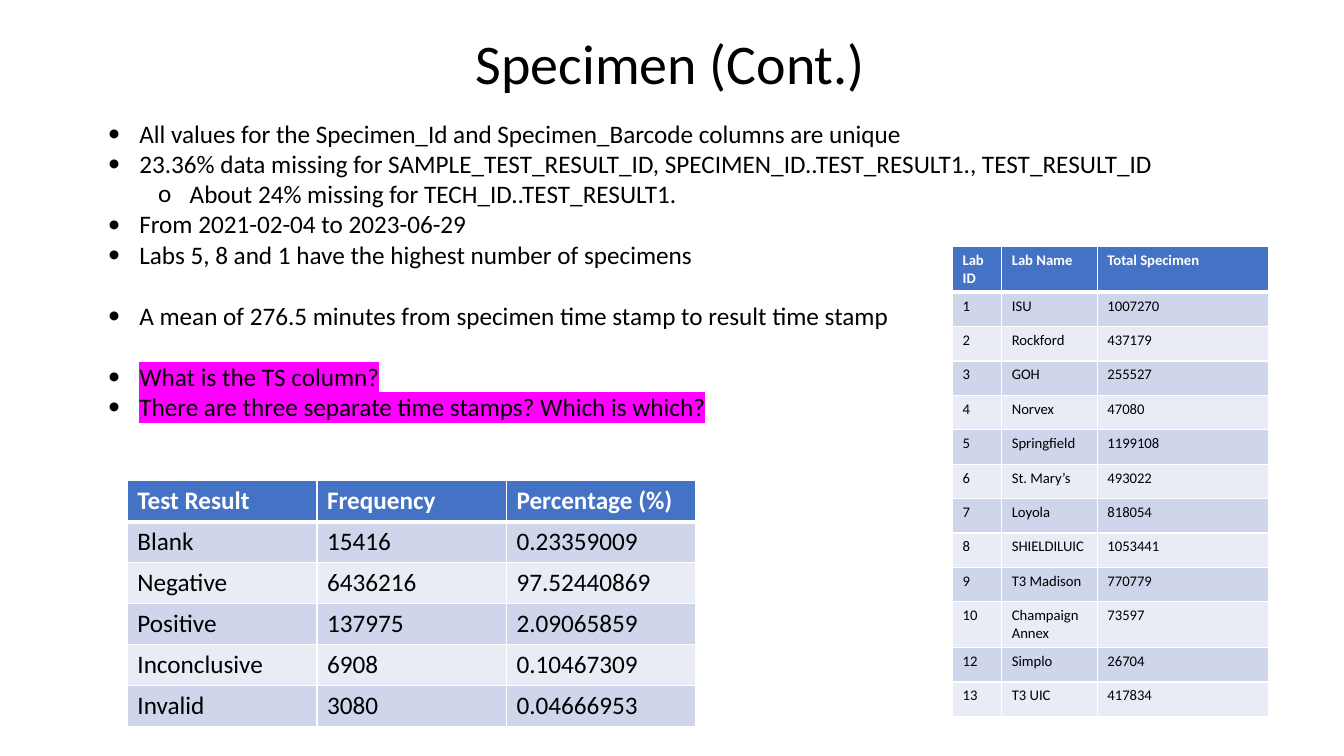
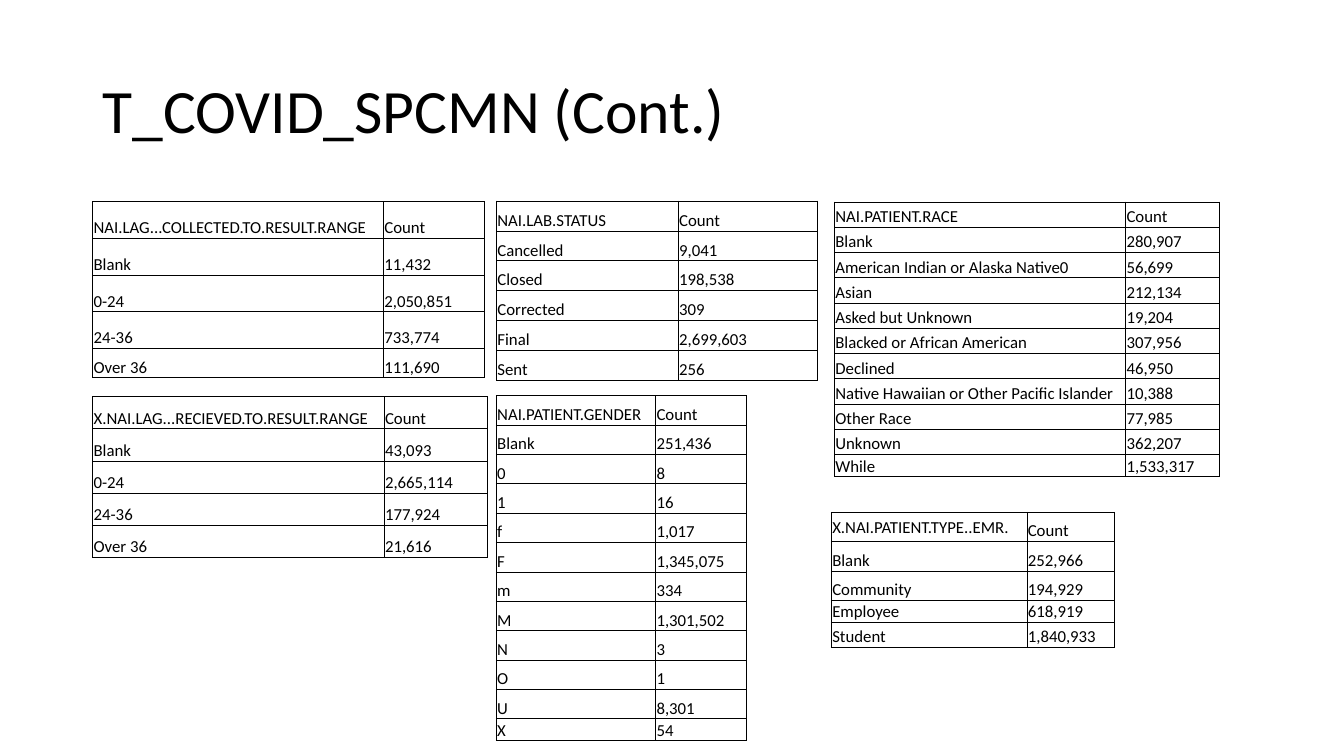
from dataclasses import dataclass
from typing import Optional

from lxml import etree
from pptx import Presentation
from pptx import util as u
from pptx.dml.color import RGBColor
from pptx.enum import text
from pptx.oxml import ns

FONT = "Calibri"
BLACK, WHITE, MAGENTA = "000000", "FFFFFF", "FF00FF"
HEADER_BLUE = "4472C4"
BANDS = ("CFD5EA", "E9EBF5")
TITLE_ONLY, TITLE_AND_CONTENT = 5, 1


@dataclass(frozen=True)
class TableStyle:
    font_size: float
    border: str
    border_width: float
    header_rule: float
    banded: bool
    margins: tuple[float, float, float, float]  # left, top, right, bottom
    anchor: text.MSO_ANCHOR


@dataclass(frozen=True)
class TableData:
    left: float
    top: float
    columns: tuple[float, ...]
    row_height: float
    rows: tuple[tuple[str, ...], ...]
    last_heights: tuple[float, ...] = ()
    first_anchor: Optional[text.MSO_ANCHOR] = None


@dataclass(frozen=True)
class Bullet:
    words: str
    level: int = 0
    space_before: float = 0
    highlight: Optional[str] = None


CELL_MARGINS = (7.2, 3.6, 7.2, 3.6)
TIGHT_MARGINS = (0.7, 0.7, 0.7, 0)
RESULT_STYLE = TableStyle(18, WHITE, 1, 3, True, CELL_MARGINS, text.MSO_ANCHOR.TOP)
LAB_STYLE = TableStyle(10.5, WHITE, 1, 3, True, CELL_MARGINS, text.MSO_ANCHOR.TOP)
COUNT_STYLE = TableStyle(12, BLACK, 0.5, 0.5, False, TIGHT_MARGINS, text.MSO_ANCHOR.BOTTOM)

BLANK_LINE = 22
BULLETS = (
    Bullet("All values for the Specimen_Id and Specimen_Barcode columns are unique"),
    Bullet("23.36% data missing for SAMPLE_TEST_RESULT_ID, "
           "SPECIMEN_ID..TEST_RESULT1., TEST_RESULT_ID"),
    Bullet("About 24% missing for TECH_ID..TEST_RESULT1.", level=1),
    Bullet("From 2021-02-04 to 2023-06-29"),
    Bullet("Labs 5, 8 and 1 have the highest number of specimens"),
    Bullet("A mean of 276.5 minutes from specimen time stamp to result time stamp",
           space_before=BLANK_LINE),
    Bullet("What is the TS column?", space_before=BLANK_LINE, highlight=MAGENTA),
    Bullet("There are three separate time stamps? Which is which?", highlight=MAGENTA),
)

TEST_RESULTS = TableData(91, 343.5, (135.4,) * 3, 29.2, (
    ("Test Result", "Frequency", "Percentage (%)"),
    ("Blank", "15416", "0.23359009"),
    ("Negative", "6436216", "97.52440869"),
    ("Positive", "137975", "2.09065859"),
    ("Inconclusive", "6908", "0.10467309"),
    ("Invalid", "3080", "0.04666953"),
))

LABS = TableData(680.4, 176, (35.2, 68.3, 122.4), 24.6, (
    ("Lab ID", "Lab Name", "Total Specimen"),
    ("1", "ISU", "1007270"),
    ("2", "Rockford", "437179"),
    ("3", "GOH", "255527"),
    ("4", "Norvex", "47080"),
    ("5", "Springfield", "1199108"),
    ("6", "St. Mary’s", "493022"),
    ("7", "Loyola", "818054"),
    ("8", "SHIELDILUIC", "1053441"),
    ("9", "T3 Madison", "770779"),
    ("10", "Champaign Annex", "73597"),
    ("12", "Simplo", "26704"),
    ("13", "T3 UIC", "417834"),
))

COUNT_TABLES = (
    TableData(66.2, 144, (207.7, 72.3), 26.2, (
        ("NAI.LAG...COLLECTED.TO.RESULT.RANGE", "Count"),
        ("Blank", "11,432"),
        ("0-24", "2,050,851"),
        ("24-36", "733,774"),
        ("Over 36", "111,690"),
    ), last_heights=(21,)),
    TableData(354.6, 143.6, (129.8, 99.4), 21.3, (
        ("NAI.LAB.STATUS", "Count"),
        ("Cancelled", "9,041"),
        ("Closed", "198,538"),
        ("Corrected", "309"),
        ("Final", "2,699,603"),
        ("Sent", "256"),
    )),
    TableData(66.2, 283.2, (208.2, 73.4), 23, (
        ("X.NAI.LAG...RECIEVED.TO.RESULT.RANGE", "Count"),
        ("Blank", "43,093"),
        ("0-24", "2,665,114"),
        ("24-36", "177,924"),
        ("Over 36", "21,616"),
    )),
    TableData(354.5, 282.6, (113.8, 64.8), 21, (
        ("NAI.PATIENT.GENDER", "Count"),
        ("Blank", "251,436"),
        ("0", "8"),
        ("1", "16"),
        ("f", "1,017"),
        ("F", "1,345,075"),
        ("m", "334"),
        ("M", "1,301,502"),
        ("N", "3"),
        ("O", "1"),
        ("U", "8,301"),
        ("X", "54"),
    ), last_heights=(15.8,)),
    TableData(596, 144.3, (208, 67), 18.05, (
        ("NAI.PATIENT.RACE", "Count"),
        ("Blank", "280,907"),
        ("American Indian or Alaska Native0", "56,699"),
        ("Asian", "212,134"),
        ("Asked but Unknown", "19,204"),
        ("Blacked or African American", "307,956"),
        ("Declined", "46,950"),
        ("Native Hawaiian or Other Pacific Islander", "10,388"),
        ("Other Race", "77,985"),
        ("Unknown", "362,207"),
        ("While", "1,533,317"),
    ), last_heights=(15.8,)),
    TableData(593.8, 365.8, (139.7, 62.6), 21, (
        ("X.NAI.PATIENT.TYPE..EMR.", "Count"),
        ("Blank", "252,966"),
        ("Community", "194,929"),
        ("Employee", "618,919"),
        ("Student", "1,840,933"),
    ), last_heights=(15.8, 17.9), first_anchor=text.MSO_ANCHOR.MIDDLE),
)


def color(value: str) -> RGBColor:
    return RGBColor.from_string(value)


def add_element(parent, tag: str, **attributes: str):
    return etree.SubElement(parent, ns.qn(tag), attributes)


def format_runs(paragraph, size: float, fill: str = BLACK, bold: bool = False) -> None:
    for run in paragraph.runs:
        run.font.size = u.Pt(size)
        run.font.name = FONT
        run.font.bold = bold
        run.font.color.rgb = color(fill)


def place(shape, left: float, top: float, width: float, height: float) -> None:
    shape.left, shape.top = u.Pt(left), u.Pt(top)
    shape.width, shape.height = u.Pt(width), u.Pt(height)
    shape.text_frame.auto_size = text.MSO_AUTO_SIZE.NONE
    shape.text_frame.word_wrap = True


def set_title(slide, words: str, box: tuple[float, float, float, float], size: float,
              alignment: text.PP_ALIGN, line_spacing: float = 1.0) -> None:
    title = slide.shapes.title
    place(title, *box)
    title.text_frame.text = words
    title.text_frame.vertical_anchor = text.MSO_ANCHOR.MIDDLE
    paragraph = title.text_frame.paragraphs[0]
    paragraph.alignment = alignment
    paragraph.line_spacing = line_spacing
    format_runs(paragraph, size)


def set_bullet(paragraph, level: int) -> None:
    properties = paragraph._p.get_or_add_pPr()
    properties.set("marL", str(u.Pt(22.5 + 36 * level)))
    properties.set("indent", str(u.Pt(-22.5)))
    add_element(properties, "a:buFont", typeface=FONT)
    add_element(properties, "a:buChar", char="•o"[level])


def highlight_run(run, fill: str) -> None:
    highlight = etree.Element(ns.qn("a:highlight"))
    add_element(highlight, "a:srgbClr", val=fill)
    run._r.get_or_add_rPr().find(ns.qn("a:solidFill")).addnext(highlight)


def fill_body(body, bullets: tuple[Bullet, ...]) -> None:
    frame = body.text_frame
    frame.text = "\n".join(bullet.words for bullet in bullets)
    for paragraph, bullet in zip(frame.paragraphs, bullets):
        set_bullet(paragraph, bullet.level)
        paragraph.level = bullet.level
        paragraph.alignment = text.PP_ALIGN.JUSTIFY
        paragraph.space_before = u.Pt(bullet.space_before)
        format_runs(paragraph, 18)
        if bullet.highlight:
            highlight_run(paragraph.runs[0], bullet.highlight)


def set_borders(cell, style: TableStyle, row: int) -> None:
    """Draw all four edges, with the heavier rule between header and first row."""
    widths = {side: style.border_width for side in "LRTB"}
    if row < 2:
        widths["B" if row == 0 else "T"] = style.header_rule
    properties = cell._tc.get_or_add_tcPr()
    for side, width in widths.items():
        line = add_element(properties, f"a:ln{side}", w=str(u.Pt(width)))
        add_element(add_element(line, "a:solidFill"), "a:srgbClr", val=style.border)


def format_cell(cell, words: str, row: int, style: TableStyle) -> None:
    header = style.banded and row == 0
    cell.text_frame.text = words
    format_runs(cell.text_frame.paragraphs[0], style.font_size,
                WHITE if header else BLACK, header)
    cell.vertical_anchor = style.anchor
    (cell.margin_left, cell.margin_top,
     cell.margin_right, cell.margin_bottom) = map(u.Pt, style.margins)
    set_borders(cell, style, row)
    if style.banded:
        cell.fill.solid()
        cell.fill.fore_color.rgb = color(HEADER_BLUE if header else BANDS[(row - 1) % 2])
    else:
        cell.fill.background()


def add_data_table(slide, data: TableData, style: TableStyle) -> None:
    regular_count = len(data.rows) - len(data.last_heights)
    heights = (data.row_height,) * regular_count + data.last_heights
    table = slide.shapes.add_table(
        len(data.rows), len(data.columns), u.Pt(data.left), u.Pt(data.top),
        u.Pt(sum(data.columns)), u.Pt(sum(heights))).table
    table.first_row = table.horz_banding = False
    for column, width in zip(table.columns, data.columns):
        column.width = u.Pt(width)
    for row, (words_in_row, height) in enumerate(zip(data.rows, heights)):
        table.rows[row].height = u.Pt(height)
        for column, words in enumerate(words_in_row):
            format_cell(table.cell(row, column), words, row, style)
    if data.first_anchor is not None:
        table.cell(0, 0).vertical_anchor = data.first_anchor


def add_specimen_slide(presentation) -> None:
    slide = presentation.slides.add_slide(presentation.slide_layouts[TITLE_AND_CONTENT])
    set_title(slide, "Specimen (Cont.)", (0, 16.5, 957.6, 55.7), 40, text.PP_ALIGN.CENTER)
    body = slide.placeholders[1]
    place(body, 69.8, 80.6, 828, 342.7)
    fill_body(body, BULLETS)
    add_data_table(slide, TEST_RESULTS, RESULT_STYLE)
    add_data_table(slide, LABS, LAB_STYLE)


def add_counts_slide(presentation) -> None:
    slide = presentation.slides.add_slide(presentation.slide_layouts[TITLE_ONLY])
    set_title(slide, "T_COVID_SPCMN (Cont.)", (66, 28.8, 828, 104.4), 44,
              text.PP_ALIGN.LEFT, line_spacing=0.9)
    for data in COUNT_TABLES:
        add_data_table(slide, data, COUNT_STYLE)


def main() -> None:
    presentation = Presentation()
    presentation.slide_width, presentation.slide_height = u.Pt(960), u.Pt(540)
    add_specimen_slide(presentation)
    add_counts_slide(presentation)
    presentation.save("out.pptx")


if __name__ == "__main__":
    main()
